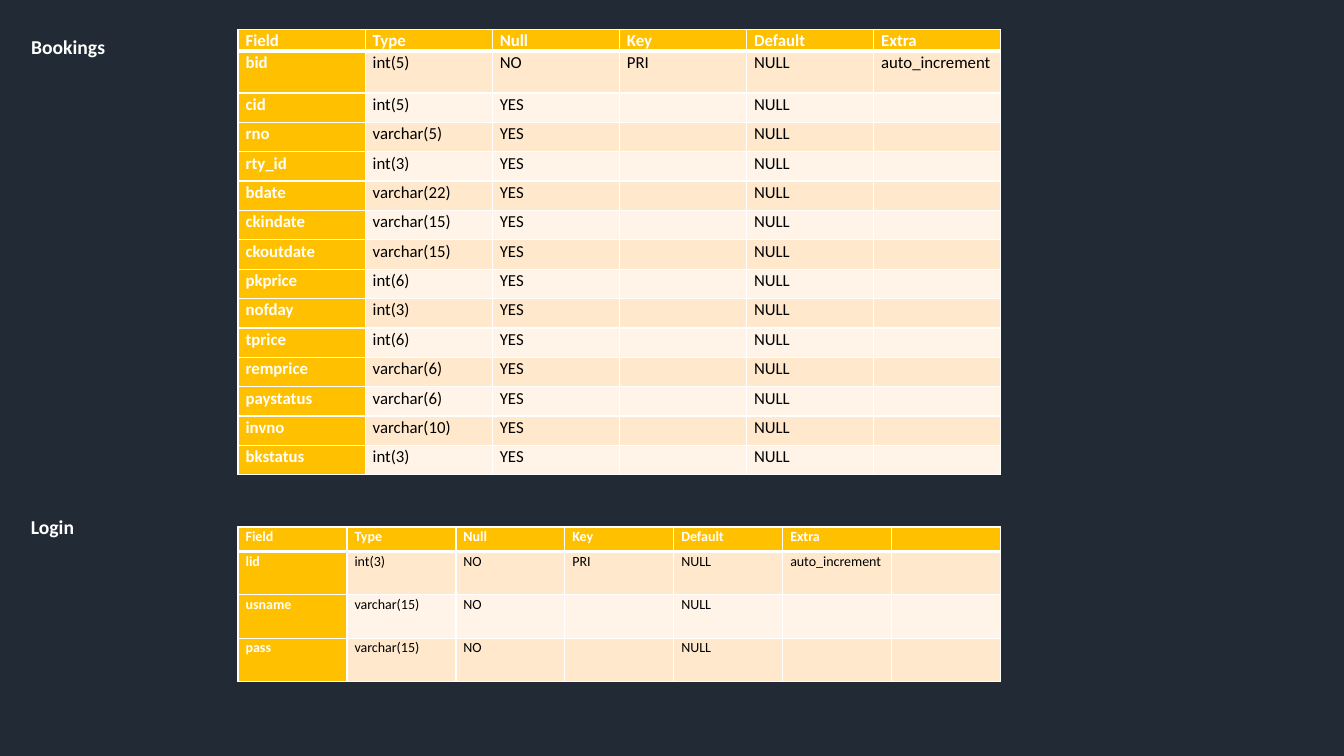
from pptx import Presentation
from pptx.dml.color import RGBColor
from pptx.enum.text import MSO_ANCHOR, MSO_AUTO_SIZE, PP_ALIGN
from pptx.oxml.ns import qn
from pptx.util import Cm, Pt
from lxml import etree

LEFT = PP_ALIGN.LEFT
TOP, MIDDLE = MSO_ANCHOR.TOP, MSO_ANCHOR.MIDDLE
NO_AUTOFIT = MSO_AUTO_SIZE.NONE

FONT = "Calibri"
NAVY, AMBER, PEACH, CREAM = "222A35", "FFC000", "FFE8CC", "FFF4E7"
WHITE, BLACK = "FFFFFF", "000000"

HEADERS = ["Field", "Type", "Null", "Key", "Default", "Extra"]
BOOKING_FIELDS = [
    ("cid", "int(5)"), ("rno", "varchar(5)"), ("rty_id", "int(3)"),
    ("bdate", "varchar(22)"), ("ckindate", "varchar(15)"),
    ("ckoutdate", "varchar(15)"), ("pkprice", "int(6)"),
    ("nofday", "int(3)"), ("tprice", "int(6)"), ("remprice", "varchar(6)"),
    ("paystatus", "varchar(6)"), ("invno", "varchar(10)"),
    ("bkstatus", "int(3)"),
]
BOOKINGS = [HEADERS, ["bid", "int(5)", "NO", "PRI", "NULL", "auto_increment"]]
BOOKINGS += [[name, kind, "YES", "", "NULL", ""] for name, kind in BOOKING_FIELDS]
LOGIN = [
    HEADERS + [""],
    ["lid", "int(3)", "NO", "PRI", "NULL", "auto_increment", ""],
    ["usname", "varchar(15)", "NO", "", "NULL", "", ""],
    ["pass", "varchar(15)", "NO", "", "NULL", "", ""],
]


def rgb(color):
    return RGBColor.from_string(color)


def set_font(p, size, color, bold):
    p.font.name = FONT
    p.font.size = Pt(size)
    p.font.bold = bold
    p.font.color.rgb = rgb(color)


def set_borders(cell, top, bottom):
    tc_pr = cell._tc.get_or_add_tcPr()
    for side, width in (("L", 1), ("R", 1), ("T", top), ("B", bottom)):
        ln = etree.SubElement(tc_pr, qn(f"a:ln{side}"), w=str(Pt(width)))
        fill = etree.SubElement(ln, qn("a:solidFill"))
        etree.SubElement(fill, qn("a:srgbClr"), val=WHITE)


def add_label(sp, text, left, top, width, height, anchor):
    sp.left, sp.top, sp.width, sp.height = Cm(left), Cm(top), Cm(width), Cm(height)
    tf = sp.text_frame
    tf.word_wrap = True
    tf.auto_size = NO_AUTOFIT
    tf.vertical_anchor = anchor
    p = tf.paragraphs[0]
    p.text = text
    p.alignment = LEFT
    set_font(p, 14, WHITE, True)


def fill_cell(cell, text, row, col, size):
    set_borders(cell, 3 if row == 1 else 1, 3 if row == 0 else 1)
    accent = row == 0 or col == 0
    cell.fill.solid()
    cell.fill.fore_color.rgb = rgb(AMBER if accent else PEACH if row % 2 else CREAM)
    cell.margin_left = cell.margin_right = Cm(0.19)
    cell.margin_top = cell.margin_bottom = 0
    p = cell.text_frame.paragraphs[0]
    p.line_spacing = 1.07
    p.space_after = Pt(9 if row else 8)
    set_font(p, size, WHITE if accent else BLACK, accent)
    if text:
        p.text = text
    else:
        p._p.get_or_add_endParaRPr().set("sz", str(size * 100))


def add_schema(s, rows, left, top, width, heights, size):
    cols = len(rows[0])
    frame = s.shapes.add_table(len(rows), cols, Cm(left), Cm(top),
                               Cm(width), Cm(sum(heights)))
    table = frame.table
    table.first_col = True
    for column in table.columns:
        column.width = int(Cm(width) / cols)
    for i, (values, height) in enumerate(zip(rows, heights)):
        table.rows[i].height = Cm(height)
        for j, text in enumerate(values):
            fill_cell(table.cell(i, j), text, i, j, size)


def build_slide(prs):
    s = prs.slides.add_slide(prs.slide_layouts[5])
    s.background.fill.solid()
    s.background.fill.fore_color.rgb = rgb(NAVY)
    add_label(s.shapes.title, "Bookings", 0.53, 0.74, 4.2, 0.86, MIDDLE)
    add_schema(s, BOOKINGS, 6, 0.74, 19.22, [0.55, 1.05] + [0.74] * 13, 12)
    login = s.shapes.add_textbox(0, 0, 0, 0)
    add_label(login, "Login", 0.53, 12.85, 3.75, 0.86, TOP)
    add_schema(s, LOGIN, 6, 13.28, 19.22, [0.62] + [1.09] * 3, 10)


def main():
    prs = Presentation()
    prs.slide_width, prs.slide_height = Cm(33.87), Cm(19.05)
    build_slide(prs)
    prs.save("out.pptx")


if __name__ == "__main__":
    main()
